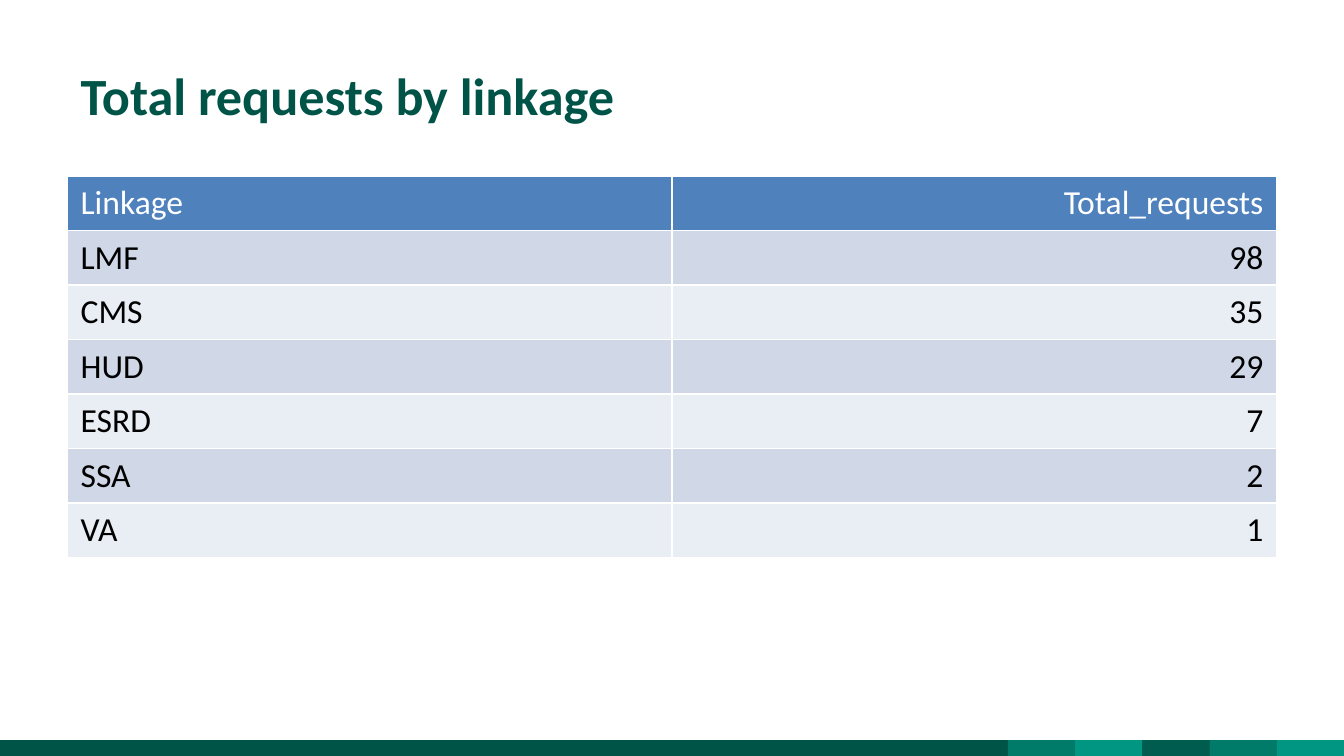
from pptx import Presentation
from pptx.dml.color import RGBColor
from pptx.enum.shapes import MSO_SHAPE
from pptx.enum.text import MSO_ANCHOR, PP_ALIGN
from pptx.util import Pt

RECT = MSO_SHAPE.RECTANGLE
MIDDLE = MSO_ANCHOR.MIDDLE
LEFT, RIGHT = PP_ALIGN.LEFT, PP_ALIGN.RIGHT

TITLE = "Total requests by linkage"
ROWS = [
    ("Linkage", "Total_requests"),
    ("LMF", "98"),
    ("CMS", "35"),
    ("HUD", "29"),
    ("ESRD", "7"),
    ("SSA", "2"),
    ("VA", "1"),
]
HEX = {
    "dark": "005447",
    "mid": "007A69",
    "light": "009681",
    "deep": "005C4F",
    "head": "4F81BD",
    "odd": "D0D8E8",
    "even": "E9EDF4",
    "white": "FFFFFF",
    "black": "000000",
}
TILES = ["mid", "light", "deep", "mid", "light"]
FONT = "Calibri"
WIDE, HIGH = 720, 405
EDGE = 36
BODY = WIDE - 2 * EDGE
BAR_TOP, BAR_HIGH = 396.5, 9.4
TILE = 36
TABLE_TOP, ROW_HIGH = 94.3, 29.15


def color(name):
    return RGBColor.from_string(HEX[name])


def write(frame, text, size, ink, bold, align):
    par = frame.paragraphs[0]
    par.alignment = align
    run = par.add_run()
    run.text = text
    run.font.name = FONT
    run.font.size = Pt(size)
    run.font.bold = bold
    run.font.color.rgb = color(ink)


def add_bar(slide, left, width, fill):
    bar = slide.shapes.add_shape(RECT, Pt(left), Pt(BAR_TOP), Pt(width), Pt(BAR_HIGH))
    bar.shadow.inherit = False
    bar.fill.solid()
    bar.fill.fore_color.rgb = color(fill)
    bar.line.fill.background()


def add_title(slide):
    title = slide.shapes.title
    title.left, title.top = Pt(EDGE), Pt(16.9)
    title.width, title.height = Pt(BODY), Pt(67.5)
    title.text_frame.vertical_anchor = MIDDLE
    write(title.text_frame, TITLE, 28, "dark", True, LEFT)


def add_grid(slide):
    grid = slide.shapes.add_table(
        len(ROWS), 2, Pt(EDGE), Pt(TABLE_TOP), Pt(BODY), Pt(ROW_HIGH * len(ROWS))
    ).table
    for r, row in enumerate(ROWS):
        grid.rows[r].height = Pt(ROW_HIGH)
        fill = "head" if r == 0 else ("even", "odd")[r % 2]
        ink = "black" if r else "white"
        for c, text in enumerate(row):
            cell = grid.cell(r, c)
            cell.fill.solid()
            cell.fill.fore_color.rgb = color(fill)
            write(cell.text_frame, text, 18, ink, False, (LEFT, RIGHT)[c])


def main():
    deck = Presentation()
    deck.slide_width, deck.slide_height = Pt(WIDE), Pt(HIGH)
    slide = deck.slides.add_slide(deck.slide_layouts[5])
    add_bar(slide, 0, WIDE, "dark")
    start = WIDE - TILE * len(TILES)
    for i, fill in enumerate(TILES):
        add_bar(slide, start + i * TILE, TILE, fill)
    add_title(slide)
    add_grid(slide)
    deck.save("out.pptx")


if __name__ == "__main__":
    main()
